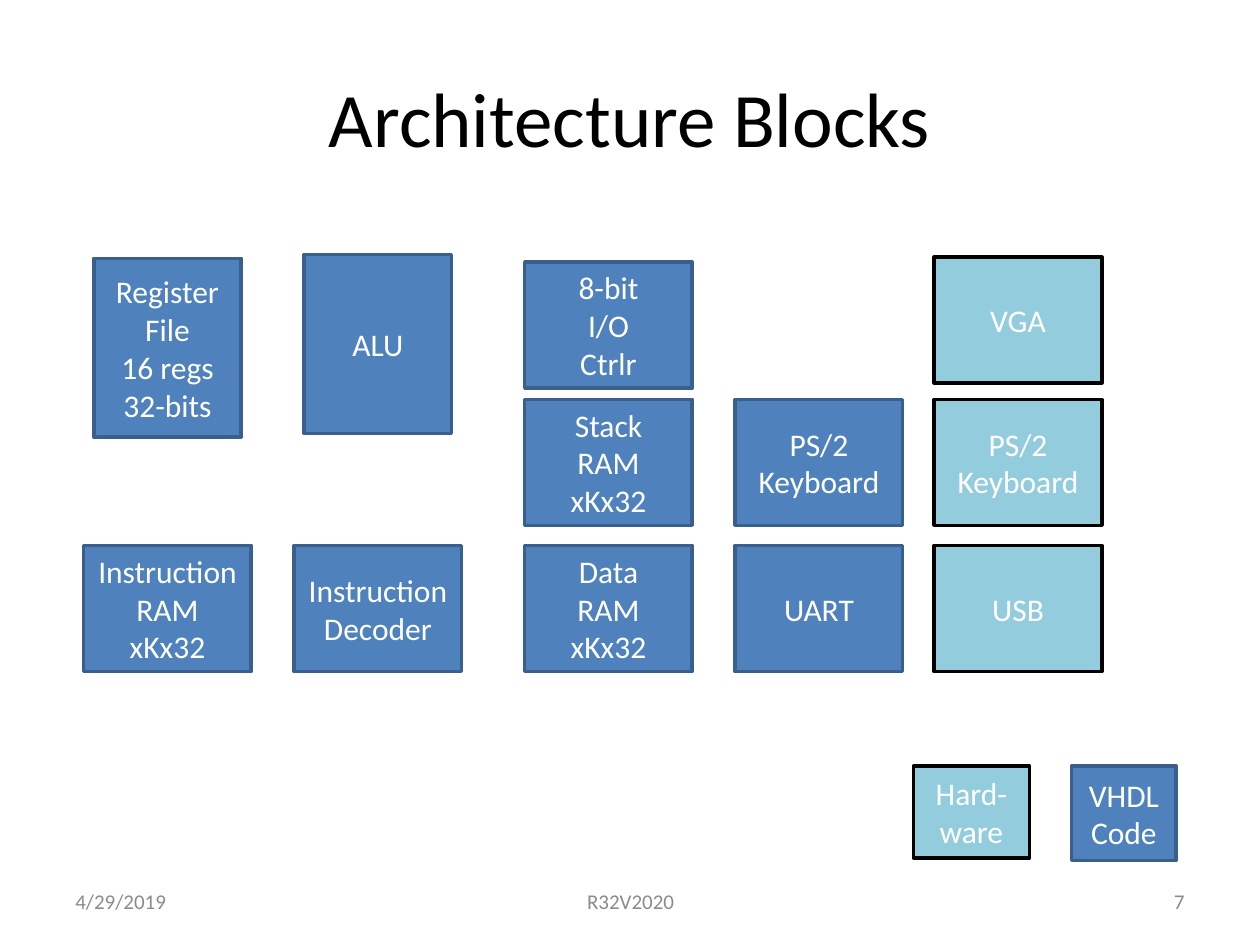
import dataclasses
import typing

import pptx
import pptx.dml.color
import pptx.enum.shapes
import pptx.enum.text
import pptx.util

Inches = pptx.util.Inches
Align = pptx.enum.text.PP_ALIGN


@dataclasses.dataclass(frozen=True)
class Theme:
    """Colours, font and type sizes of the slide."""
    font: str = "Calibri"
    title_size: int = 44
    block_size: int = 18
    footer_size: int = 12
    title_color: str = "000000"
    block_color: str = "FFFFFF"
    footer_color: str = "8B8B8B"
    line_width: int = 2


@dataclasses.dataclass(frozen=True)
class Kind:
    """Fill and outline shared by one kind of block."""
    fill: str
    line: str


@dataclasses.dataclass(frozen=True)
class Block:
    """A labelled block, centred on a column, with its top on a row."""
    label: str
    center: float
    top: float
    kind: Kind
    width: float = 1.33
    height: float = 1.0


@dataclasses.dataclass(frozen=True)
class Caption:
    """Plain text outside the blocks."""
    label: str
    box: tuple[float, float, float, float]
    align: Align
    size: int
    color: str


THEME = Theme()
VHDL = Kind("4F81BD", "3A5F8C")
HARDWARE = Kind("93CDDD", "000000")
MEMORY, DECODE, STORAGE, INTERFACE, DEVICE = 1.33, 3.0, 4.83, 6.5, 8.08
UPPER, MIDDLE, LOWER, LEGEND = 2.08, 3.17, 4.33, 6.08
FOOTER_TOP, FOOTER_HEIGHT = 6.95, 0.4
CORE = {"width": 1.17, "height": 1.42}

CAPTIONS = [
    Caption("Architecture Blocks", (0.5, 0.3, 9, 1.25), Align.CENTER,
            THEME.title_size, THEME.title_color),
    *(Caption(label, (left, FOOTER_TOP, width, FOOTER_HEIGHT), align,
              THEME.footer_size, THEME.footer_color)
      for label, left, width, align in [
          ("4/29/2019", 0.5, 2.33, Align.LEFT),
          ("R32V2020", 3.42, 3.17, Align.CENTER),
          ("7", 7.17, 2.33, Align.RIGHT)]),
]

BLOCKS = [
    Block("Register File\n16 regs\n32-bits", MEMORY, 2.05, VHDL, **CORE),
    Block("Instruction\nRAM\nxKx32", MEMORY, LOWER, VHDL),
    Block("Data\nRAM\nxKx32", STORAGE, LOWER, VHDL),
    Block("Stack\nRAM\nxKx32", STORAGE, MIDDLE, VHDL),
    Block("8-bit\nI/O\nCtrlr", STORAGE, UPPER, VHDL),
    Block("VGA", DEVICE, 2.04, HARDWARE),
    Block("PS/2 Keyboard", DEVICE, MIDDLE, HARDWARE),
    Block("USB", DEVICE, LOWER, HARDWARE),
    Block("ALU", DECODE, 2.02, VHDL, **CORE),
    Block("Instruction\nDecoder", DECODE, LOWER, VHDL),
    Block("UART", INTERFACE, LOWER, VHDL),
    Block("PS/2 Keyboard", INTERFACE, MIDDLE, VHDL),
    Block("VHDL\nCode", 8.92, LEGEND, VHDL, 0.83, 0.75),
    Block("Hard-\nware", 7.71, LEGEND, HARDWARE, 0.92, 0.73),
]


def rgb(value: str) -> pptx.dml.color.RGBColor:
    """Turn a hex string into a colour."""
    return pptx.dml.color.RGBColor.from_string(value)


def apply(target: typing.Any, values: dict[str, typing.Any]) -> None:
    """Set each named format value on the target."""
    for name, value in values.items():
        setattr(target, name, value)


def write(shape: typing.Any, label: str, align: Align, size: int, color: str) -> None:
    """Fill a shape with text, one paragraph for each line of the label."""
    frame = shape.text_frame
    frame.text = label
    apply(frame, {
        "word_wrap": True,
        "vertical_anchor": pptx.enum.text.MSO_ANCHOR.MIDDLE,
        "margin_left": Inches(0.1), "margin_right": Inches(0.1),
        "margin_top": Inches(0.05), "margin_bottom": Inches(0.05),
    })
    for paragraph in frame.paragraphs:
        paragraph.alignment = align
        for run in paragraph.runs:
            apply(run.font, {"name": THEME.font, "size": pptx.util.Pt(size)})
            run.font.color.rgb = rgb(color)


def draw_caption(slide: typing.Any, caption: Caption) -> None:
    """Draw the title or a footer text."""
    text_box = slide.shapes.add_textbox(*map(Inches, caption.box))
    write(text_box, caption.label, caption.align, caption.size, caption.color)


def draw_block(slide: typing.Any, block: Block) -> None:
    """Draw one block in the look of its kind."""
    box = (block.center - block.width / 2, block.top, block.width, block.height)
    body = slide.shapes.add_shape(
        pptx.enum.shapes.MSO_SHAPE.RECTANGLE, *map(Inches, box))
    body.shadow.inherit = False
    body.fill.solid()
    body.fill.fore_color.rgb = rgb(block.kind.fill)
    body.line.color.rgb = rgb(block.kind.line)
    body.line.width = pptx.util.Pt(THEME.line_width)
    write(body, block.label, Align.CENTER, THEME.block_size, THEME.block_color)


def main() -> None:
    """Build the slide and save it."""
    deck = pptx.Presentation()
    apply(deck, {"slide_width": Inches(10), "slide_height": Inches(7.5)})
    slide = deck.slides.add_slide(deck.slide_layouts[6])
    for caption in CAPTIONS:
        draw_caption(slide, caption)
    for block in BLOCKS:
        draw_block(slide, block)
    deck.save("out.pptx")


main()
